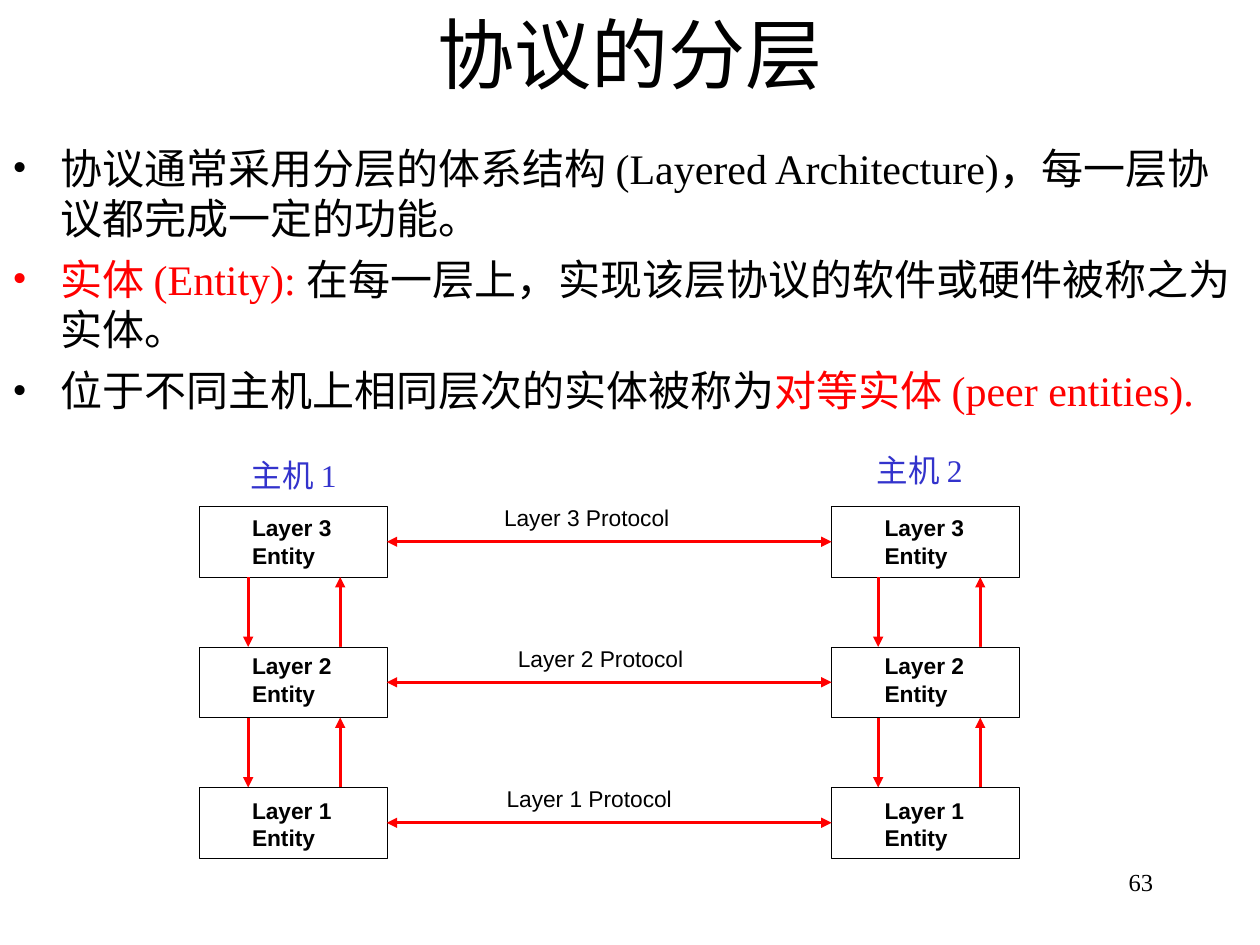
from lxml import etree
from pptx import Presentation
from pptx.dml.color import RGBColor
from pptx.enum import shapes, text
from pptx.oxml import ns
from pptx.util import Inches, Pt

COLORS = {"ink": "000000", "red": "FF0000", "blue": "3333CC", "paper": "FFFFFF"}
SERIF, SANS = "Times New Roman", "Arial"
LEFT, RIGHT = text.PP_ALIGN.LEFT, text.PP_ALIGN.RIGHT


def rgb(name):
    return RGBColor.from_string(COLORS[name])


def child(parent, tag, **attributes):
    return etree.SubElement(parent, ns.qn(tag), attributes)


def write(paragraph, words, size=24, font=SERIF, color="ink", bold=False):
    run = paragraph.add_run()
    run.text = words
    run.font.size, run.font.name, run.font.bold = Pt(size), font, bold
    run.font.color.rgb = rgb(color)


class LayerSlide:
    def __init__(self, slide):
        self.slide = slide
        self.arrow_width = Pt(1.75)

    def frame(self, shape, margins, anchor=text.MSO_ANCHOR.TOP):
        frame = shape.text_frame
        frame.word_wrap = True
        frame.vertical_anchor = anchor
        (frame.margin_left, frame.margin_top,
         frame.margin_right, frame.margin_bottom) = map(Inches, margins)
        return frame

    def label(self, words, place, margins=(0, 0, 0, 0), align=LEFT,
              anchor=text.MSO_ANCHOR.TOP, **style):
        box = self.slide.shapes.add_textbox(*map(Inches, place))
        paragraph = self.frame(box, margins, anchor).paragraphs[0]
        paragraph.alignment = align
        write(paragraph, words, **style)

    def bullets(self, items, place):
        box = self.slide.shapes.add_textbox(*map(Inches, place))
        frame = self.frame(box, (0.1, 0.05, 0.1, 0.05))
        for index, runs in enumerate(items):
            paragraph = frame.add_paragraph() if index else frame.paragraphs[0]
            if index:
                paragraph.space_before = Pt(6)
            props = paragraph._p.get_or_add_pPr()
            props.set("marL", str(Inches(0.38)))
            props.set("indent", str(Inches(-0.38)))
            child(child(props, "a:buClr"), "a:srgbClr", val=COLORS[runs[0][1]])
            child(props, "a:buFont", typeface=SERIF)
            child(props, "a:buChar", char="•")
            for words, color in runs:
                write(paragraph, words, color=color)

    def entity(self, layer, place, text_inset):
        box = self.slide.shapes.add_shape(shapes.MSO_SHAPE.RECTANGLE,
                                          *map(Inches, place))
        box.shadow.inherit = False
        box.fill.solid()
        box.fill.fore_color.rgb = rgb("paper")
        box.line.color.rgb = rgb("ink")
        box.line.width = Pt(0.25)
        frame = self.frame(box, (0.42, text_inset, 0, 0))
        for index, words in enumerate((f"Layer {layer}", "Entity")):
            paragraph = frame.add_paragraph() if index else frame.paragraphs[0]
            paragraph.alignment = LEFT
            write(paragraph, words, size=13, font=SANS, bold=True)
        return box

    def arrow(self, start, end, both=False):
        link = self.slide.shapes.add_connector(
            shapes.MSO_CONNECTOR.STRAIGHT, *map(Inches, start + end))
        link.line.color.rgb = rgb("red")
        link.line.width = self.arrow_width
        outline = link.line._get_or_add_ln()
        if both:
            child(outline, "a:headEnd", type="triangle")
        child(outline, "a:tailEnd", type="triangle")
        child(link._element.spPr, "a:effectLst")
        return link


def main():
    deck = Presentation()
    deck.slide_width, deck.slide_height = Inches(10), Inches(7.5)
    page = LayerSlide(deck.slides.add_slide(deck.slide_layouts[6]))

    # Title and explanation
    page.label("协议的分层", (0.75, -0.08, 8.5, 1), (0.1, 0.05, 0.1, 0.05),
               align=text.PP_ALIGN.CENTER, anchor=text.MSO_ANCHOR.MIDDLE, size=44)
    page.bullets([
        [("协议通常采用分层的体系结构 (Layered Architecture)，每一层协议都完成一定的功能。", "ink")],
        [("实体 (Entity): ", "red"),
         ("在每一层上，实现该层协议的软件或硬件被称之为实体。", "ink")],
        [("位于不同主机上相同层次的实体被称为", "ink"),
         ("对等实体 (peer entities).", "red")],
    ], (0, 1.08, 10, 2.33))

    # Hosts: label place, box left edge, down arrow and up arrow positions
    hosts = [("主机 1", 1.97, 3.62, 1.58, 1.97, 2.7),
             ("主机 2", 6.94, 3.58, 6.6, 6.97, 7.78)]
    for host, left, top, *_ in hosts:
        page.label(host, (left, top, 0.9, 0.3), (0.02, 0, 0.02, 0),
                   size=18, color="blue")

    # Layers: number, text inset in the box, left edge of the protocol label
    width, height, first_top, pitch = 1.49, 0.56, 4.02, 1.115
    layers = [(3, 0.06, 4.0), (2, 0.04, 4.11), (1, 0.07, 4.02)]
    for row, (layer, inset, label_left) in enumerate(layers):
        top = first_top + row * pitch
        middle = top + height / 2
        near, far = [page.entity(layer, (host[3], top, width, height), inset)
                     for host in hosts]
        peer = page.arrow((hosts[0][3] + width, middle),
                          (hosts[1][3], middle), both=True)
        peer.begin_connect(near, 3)
        peer.end_connect(far, 1)
        page.label(f"Layer {layer} Protocol",
                   (label_left, top - 0.02, 1.45, 0.22), size=13, font=SANS)

        # Arrows to and from the layer below
        if layer > 1:
            upper, lower = top + height, top + pitch
            for *_, down, up in hosts:
                page.arrow((down, upper), (down, lower))
                page.arrow((up, lower), (up, upper))

    # Page number
    page.label("63", (7.17, 6.83, 2.08, 0.5), (0.1, 0.05, 0.1, 0.05),
               align=RIGHT, size=14)
    deck.save("out.pptx")


if __name__ == "__main__":
    main()
